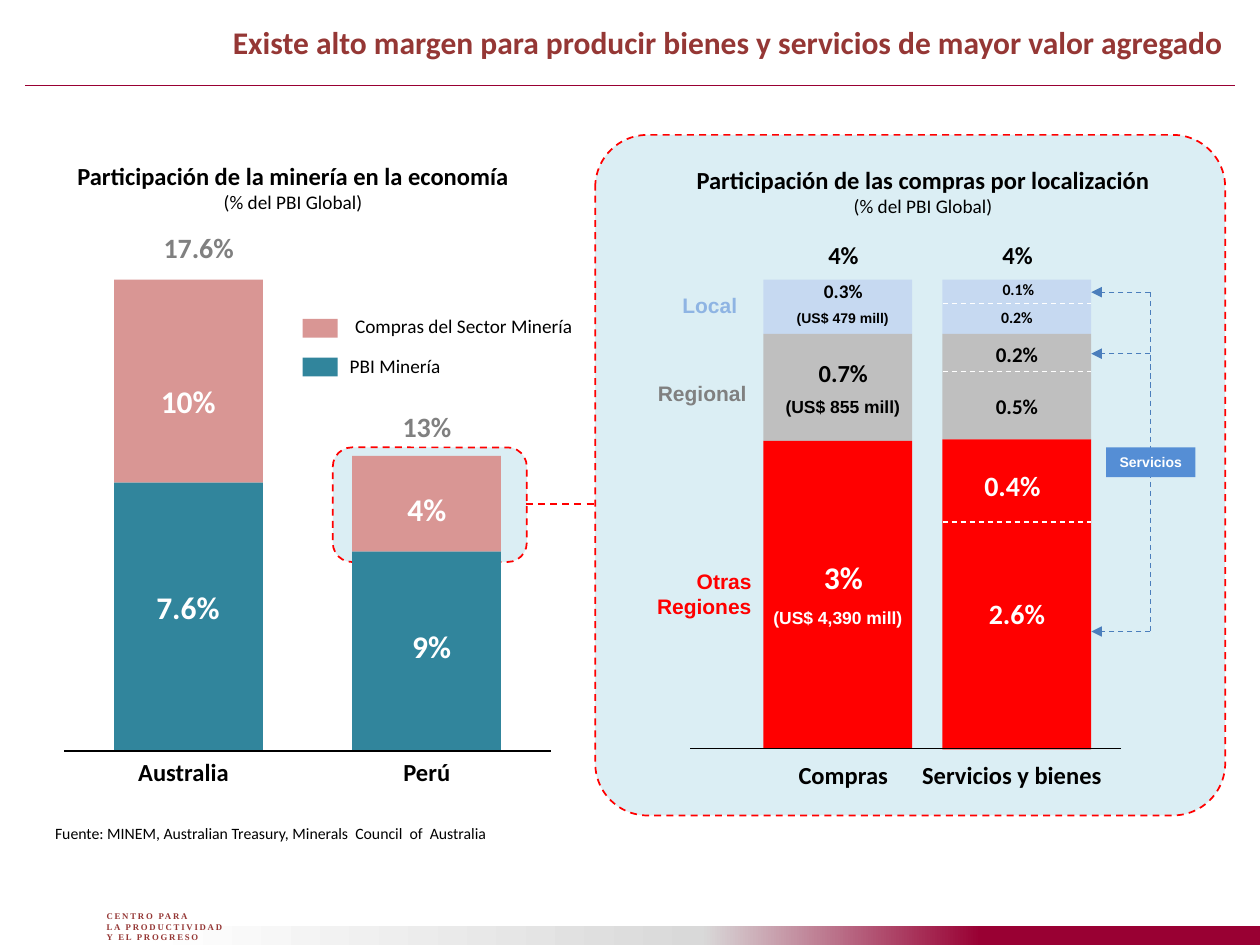
from copy import deepcopy
from pptx import Presentation
from pptx.dml.color import RGBColor
from pptx.enum.dml import MSO_LINE
from pptx.enum.shapes import MSO_CONNECTOR, MSO_SHAPE
from pptx.enum.text import MSO_ANCHOR, PP_ALIGN
from pptx.oxml.ns import qn
from pptx.util import Cm, Pt
from lxml.etree import SubElement

WHITE = RGBColor(255, 255, 255)
BLACK = RGBColor(0, 0, 0)
RED = RGBColor(255, 0, 0)
WINE = RGBColor(0x99, 0x00, 0x33)
BRICK = RGBColor(0x95, 0x37, 0x35)
PALE = RGBColor(0xDB, 0xEE, 0xF4)
TEAL = RGBColor(0x31, 0x85, 0x9C)
PINK = RGBColor(0xD9, 0x96, 0x94)
GRAY = RGBColor(0x80, 0x80, 0x80)
SILVER = RGBColor(0xBF, 0xBF, 0xBF)
MIST = RGBColor(0xD9, 0xD9, 0xD9)
SKY = RGBColor(0xC6, 0xD9, 0xF1)
BLUE = RGBColor(0x8E, 0xB4, 0xE3)
MID = RGBColor(0x55, 0x8E, 0xD5)
STEEL = RGBColor(0x4B, 0x7E, 0xBC)
LEFT, MIDDLE, RIGHT = PP_ALIGN.LEFT, PP_ALIGN.CENTER, PP_ALIGN.RIGHT

deck = Presentation()
deck.slide_width, deck.slide_height = Cm(25.4), Cm(19.05)
slide = deck.slides.add_slide(deck.slide_layouts[6])
shapes = slide.shapes


def add_box(x, y, w, h, fill, kind=MSO_SHAPE.RECTANGLE):
    """Add a flat filled shape without outline."""
    box = shapes.add_shape(kind, Cm(x), Cm(y), Cm(w), Cm(h))
    box.shadow.inherit = False
    box.fill.solid()
    box.fill.fore_color.rgb = fill
    box.line.fill.background()
    return box


def write(frame, text, size, color, align=MIDDLE, name="Calibri", bold=True):
    """Write lines of text in one format."""
    frame.word_wrap = True
    form = {"size": Pt(size), "name": name, "bold": bold}
    for i, line in enumerate(text.split("\n")):
        para = frame.add_paragraph() if i else frame.paragraphs[0]
        para.alignment = align
        run = para.add_run()
        run.text = line
        for key, value in form.items():
            setattr(run.font, key, value)
        run.font.color.rgb = color


# Footer band
band = add_box(2.9, 18.67, 22.5, 0.38, WINE)
band.fill.gradient()
band.fill.gradient_angle = 180
stops = band._element.spPr.find(qn("a:gradFill")).find(qn("a:gsLst"))
stops.append(deepcopy(stops[0]))
for stop, spot, color in zip(band.fill.gradient_stops, (0.25, 0.5, 1), (WINE, MIST, WHITE)):
    stop.position = spot
    stop.color.rgb = color

# Dashed frames
for x, y, w, h, bend in ((6.71, 9.02, 3.91, 2.31, 0.167), (12, 2.72, 12.7, 13.72, 0.083)):
    frame = add_box(x, y, w, h, PALE, MSO_SHAPE.ROUNDED_RECTANGLE)
    frame.adjustments[0] = bend
    frame.line.color.rgb = RED
    frame.line.width = Pt(1)
    frame.line.dash_style = MSO_LINE.DASH

# Stacked bars: left, edges from top to bottom, fills
BAR = 3
bars = (
    (2.3, (5.64, 9.73, 15.14), (PINK, TEAL)),
    (7.1, (9.19, 11.12, 15.16), (PINK, TEAL)),
    (15.39, (5.64, 6.73, 8.89, 15.09), (SKY, SILVER, RED)),
    (19, (5.64, 6.73, 8.86, 15.11), (SKY, SILVER, RED)),
)
for x, edges, fills in bars:
    for top, end, fill in zip(edges, edges[1:], fills):
        add_box(x, top, BAR, end - top, fill)

# Legend keys
for y, fill in ((6.43, PINK), (7.21, TEAL)):
    add_box(6.1, y, 0.71, 0.38, fill)

# Lines: start, end, colour, width, dashed, arrow
lines = [
    (0.51, 1.73, 24.89, 1.73, WINE, 0.75, False, False),
    (11.1, 15.14, 1.3, 15.14, BLACK, 1, False, False),
    (22.6, 15.09, 13.9, 15.09, BLACK, 1, False, False),
    (10.6, 10.16, 12, 10.16, RED, 1, True, False),
    (23.19, 5.89, 23.19, 12.73, STEEL, 0.75, True, False),
]
lines += [(19, y, 19 + BAR, y, WHITE, 0.75, True, False) for y in (6.12, 7.49, 10.52)]
lines += [(23.19, y, 22, y, STEEL, 0.75, True, True) for y in (5.89, 7.13, 12.73)]
for x1, y1, x2, y2, color, width, dash, arrow in lines:
    line = shapes.add_connector(MSO_CONNECTOR.STRAIGHT, Cm(x1), Cm(y1), Cm(x2), Cm(y2))
    line.line.color.rgb = color
    line.line.width = Pt(width)
    if dash:
        line.line.dash_style = MSO_LINE.DASH
    if arrow:
        SubElement(line.line._get_or_add_ln(), qn("a:tailEnd"), type="triangle")
    SubElement(line._element.spPr, qn("a:effectLst"))

# Bold centred Calibri labels: text, left, top, width, height, size, colour
labels = (
    ("17.6%", 2.9, 4.52, 2.21, 0.76, 16, GRAY),
    ("10%", 2.69, 7.57, 2.21, 0.76, 18, WHITE),
    ("7.6%", 2.79, 11.73, 2, 1, 18, WHITE),
    ("13%", 7.5, 8.13, 2.21, 0.76, 16, GRAY),
    ("4%", 7.5, 9.75, 2.21, 0.76, 18, WHITE),
    ("9%", 7.7, 12.52, 2, 1, 18, WHITE),
    ("4%", 15.9, 4.72, 2.21, 0.76, 14, BLACK),
    ("0.3%", 16, 5.51, 2, 0.66, 11, BLACK),
    ("0.7%", 16, 7.09, 2, 0.74, 14, BLACK),
    ("3%", 16, 11.13, 2, 1, 18, WHITE),
    ("4%", 19.41, 4.72, 2.21, 0.76, 14, BLACK),
    ("0.1%", 19.53, 5.51, 2, 0.66, 9, BLACK),
    ("0.2%", 19.5, 6.07, 2, 0.66, 9, BLACK),
    ("0.2%", 19.5, 6.76, 2, 0.74, 12, BLACK),
    ("0.5%", 19.5, 7.8, 2, 0.74, 12, BLACK),
    ("0.4%", 19.41, 9.32, 2, 1, 16, WHITE),
    ("2.6%", 19.5, 11.91, 2, 1, 16, WHITE),
    ("Australia", 1.5, 15.14, 4.4, 0.79, 14, BLACK),
    ("Perú", 7.5, 15.14, 2.21, 0.79, 14, BLACK),
    ("Compras", 14.8, 15.19, 4.4, 0.79, 14, BLACK),
    ("Servicios y bienes", 18.2, 15.19, 4.4, 0.79, 14, BLACK),
    # Other formats add alignment, font and weight
    ("Existe alto margen para producir bienes y servicios de mayor valor agregado",
     0.71, 0.33, 24.2, 1.8, 18, BRICK, RIGHT),
    ("Compras del Sector Minería", 6.8, 6.22, 5.1, 0.74, 11, BLACK, MIDDLE, "Calibri", False),
    ("PBI Minería", 6.8, 7.01, 5, 0.74, 11, BLACK, LEFT, "Calibri", False),
    ("Fuente: MINEM, Australian Treasury, Minerals  Council  of  Australia",
     0.86, 16.48, 9.42, 0.64, 9, BLACK, LEFT, "Calibri", False),
    ("Local", 13.31, 5.77, 2, 0.76, 12, BLUE, MIDDLE, "Arial"),
    ("Regional", 12.5, 7.54, 2.8, 0.76, 12, GRAY, RIGHT, "Arial"),
    ("Otras Regiones", 12.6, 11.33, 2.8, 1.27, 12, RED, RIGHT, "Arial"),
    ("(US$ 479 mill)", 15.29, 6.12, 3.4, 0.61, 8, BLACK, MIDDLE, "Arial"),
    ("(US$ 855 mill)", 15.29, 7.85, 3.4, 0.69, 10, BLACK, MIDDLE, "Arial"),
    ("(US$ 4,390 mill)", 15.19, 12.12, 3.4, 0.69, 10, WHITE, MIDDLE, "Arial"),
    ("CENTRO PARA\nLA PRODUCTIVIDAD\nY EL PROGRESO",
     1.9, 18.24, 4.6, 0.89, 5, BRICK, LEFT, "Times New Roman"),
)
for text, x, y, w, h, *form in labels:
    label = shapes.add_textbox(Cm(x), Cm(y), Cm(w), Cm(h))
    write(label.text_frame, text, *form)

# Letter spacing of the footer name, the last label
for para in label.text_frame.paragraphs:
    para.runs[0].font._element.set("spc", "100")

# Chart headings
for text, x, y in (
    ("Participación de la minería en la economía", 0.71, 3.12),
    ("Participación de las compras por localización", 13.41, 3.2),
):
    head = shapes.add_textbox(Cm(x), Cm(y), Cm(10.4), Cm(1.32)).text_frame
    write(head, text + "\n(% del PBI Global)", 14, BLACK)
    unit = head.paragraphs[1].runs[0].font
    unit.size, unit.bold = Pt(11), False

# Services tag
tag = add_box(22.3, 9.02, 1.8, 0.6, MID).text_frame
tag.vertical_anchor = MSO_ANCHOR.MIDDLE
tag.margin_left = tag.margin_right = Cm(0.1)
write(tag, "Servicios", 8, WHITE, MIDDLE, "Arial")

deck.save("out.pptx")
